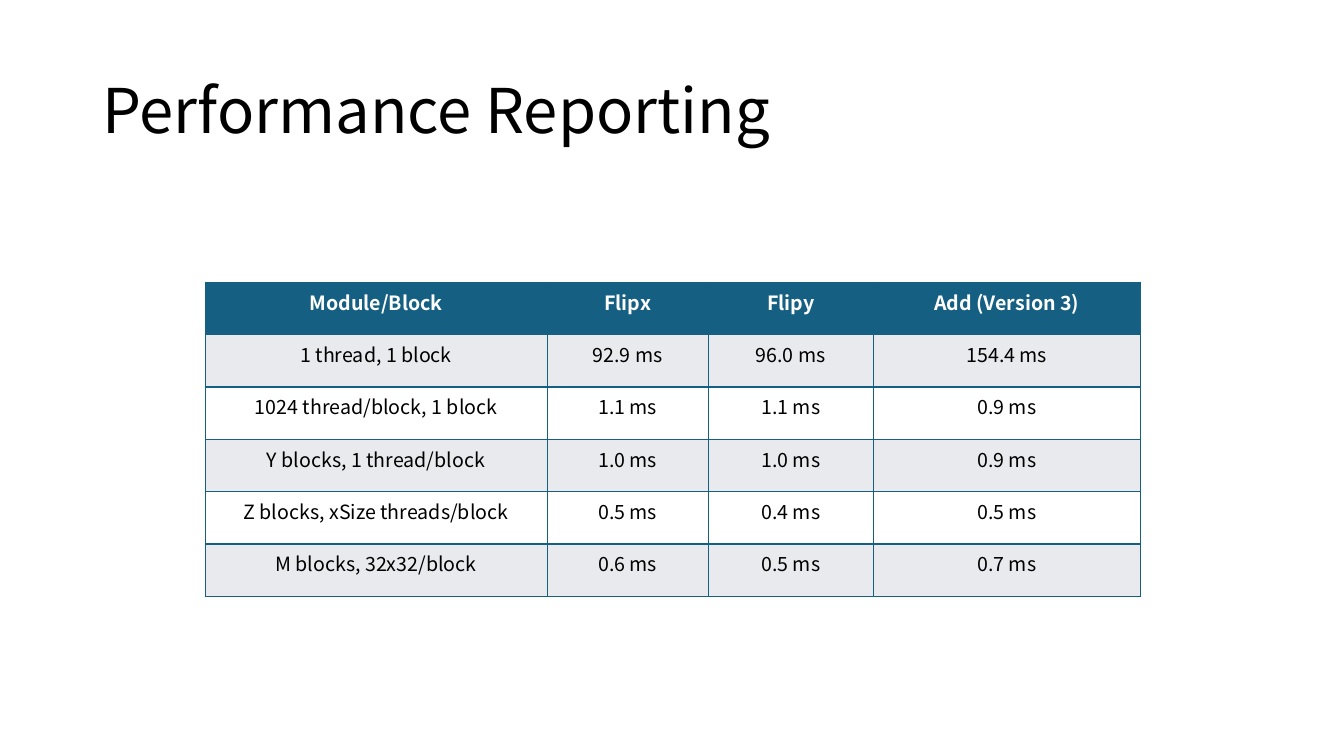
from lxml import etree
from pptx import Presentation
from pptx import util as u
from pptx.dml.color import RGBColor
from pptx.enum import text
from pptx.oxml import ns

TIMINGS = [
    ("Module/Block", "Flipx", "Flipy", "Add (Version 3)"),
    ("1 thread, 1 block", "92.9 ms", "96.0 ms", "154.4 ms"),
    ("1024 thread/block, 1 block", "1.1 ms", "1.1 ms", "0.9 ms"),
    ("Y blocks, 1 thread/block", "1.0 ms", "1.0 ms", "0.9 ms"),
    ("Z blocks, xSize threads/block", "0.5 ms", "0.4 ms", "0.5 ms"),
    ("M blocks, 32x32/block", "0.6 ms", "0.5 ms", "0.7 ms"),
]
COLUMN_WIDTHS = (8.62, 4.06, 4.16, 6.73)
ROW_HEIGHT = 1.32


def colour(value):
    return RGBColor.from_string(value)


class ReportPage:
    font = "Noto Sans CJK KR"
    ink, paper, accent, band = "000000", "FFFFFF", "156082", "E8EAED"

    def __init__(self, deck):
        self.page = deck.slides.add_slide(deck.slide_layouts.get_by_name("Title Only"))

    def set_text(self, frame, words, size, shade, align, bold=False):
        frame.text = words
        para = frame.paragraphs[0]
        para.alignment = align
        for span in para.runs:
            span.font.name = self.font
            span.font.size = u.Pt(size)
            span.font.bold = bold
            span.font.color.rgb = colour(shade)
        return para

    def title(self, words, left, top, width, height):
        box = self.page.shapes.title
        box.left, box.top = u.Cm(left), u.Cm(top)
        box.width, box.height = u.Cm(width), u.Cm(height)
        frame = box.text_frame
        frame.vertical_anchor = text.MSO_ANCHOR.MIDDLE
        frame.auto_size = text.MSO_AUTO_SIZE.NONE
        para = self.set_text(frame, words, 44, self.ink, text.PP_ALIGN.LEFT)
        para.line_spacing = 0.9

    def outline(self, cell):
        properties = cell._tc.get_or_add_tcPr()
        for side in ("a:lnL", "a:lnR", "a:lnT", "a:lnB"):
            line = etree.SubElement(properties, ns.qn(side), w=str(u.Pt(1)))
            fill = etree.SubElement(line, ns.qn("a:solidFill"))
            etree.SubElement(fill, ns.qn("a:srgbClr"), val=self.accent)

    def table(self, rows, left, top, widths, row_height):
        table = self.page.shapes.add_table(
            len(rows), len(widths), u.Cm(left), u.Cm(top),
            u.Cm(sum(widths)), u.Cm(row_height * len(rows))).table
        for column, width in zip(table.columns, widths):
            column.width = u.Cm(width)
        for number, values in enumerate(rows):
            table.rows[number].height = u.Cm(row_height)
            header = number == 0
            fill = self.accent if header else self.band if number % 2 else self.paper
            shade = self.paper if header else self.ink
            for cell, value in zip(table.rows[number].cells, values):
                self.outline(cell)
                cell.fill.solid()
                cell.fill.fore_color.rgb = colour(fill)
                self.set_text(cell.text_frame, value, 14, shade,
                              text.PP_ALIGN.CENTER, bold=header)


def main():
    deck = Presentation()
    deck.slide_width, deck.slide_height = u.Cm(33.87), u.Cm(19.05)
    report = ReportPage(deck)

    # Heading
    report.title("Performance Reporting", 2.33, 1.01, 29.21, 3.68)

    # Timings per launch layout
    report.table(TIMINGS, 5.17, 7.11, COLUMN_WIDTHS, ROW_HEIGHT)

    deck.save("out.pptx")


if __name__ == "__main__":
    main()
